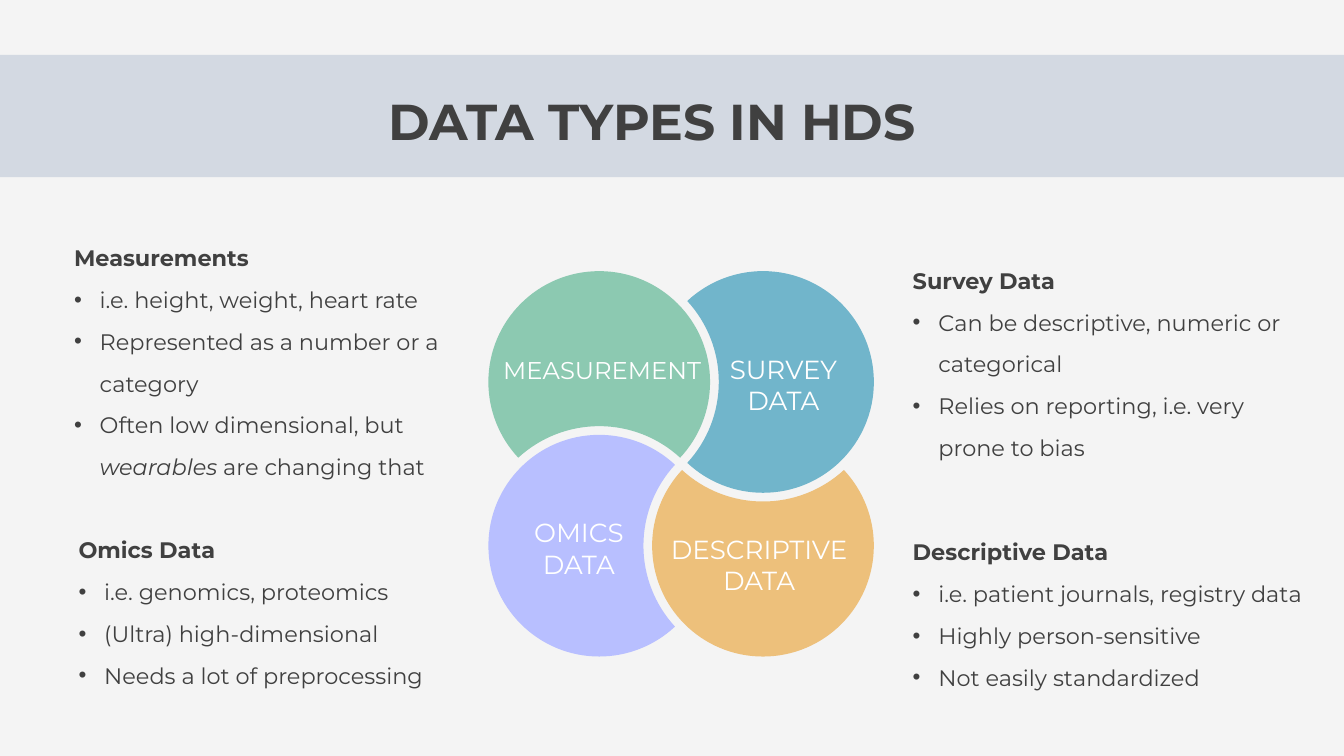
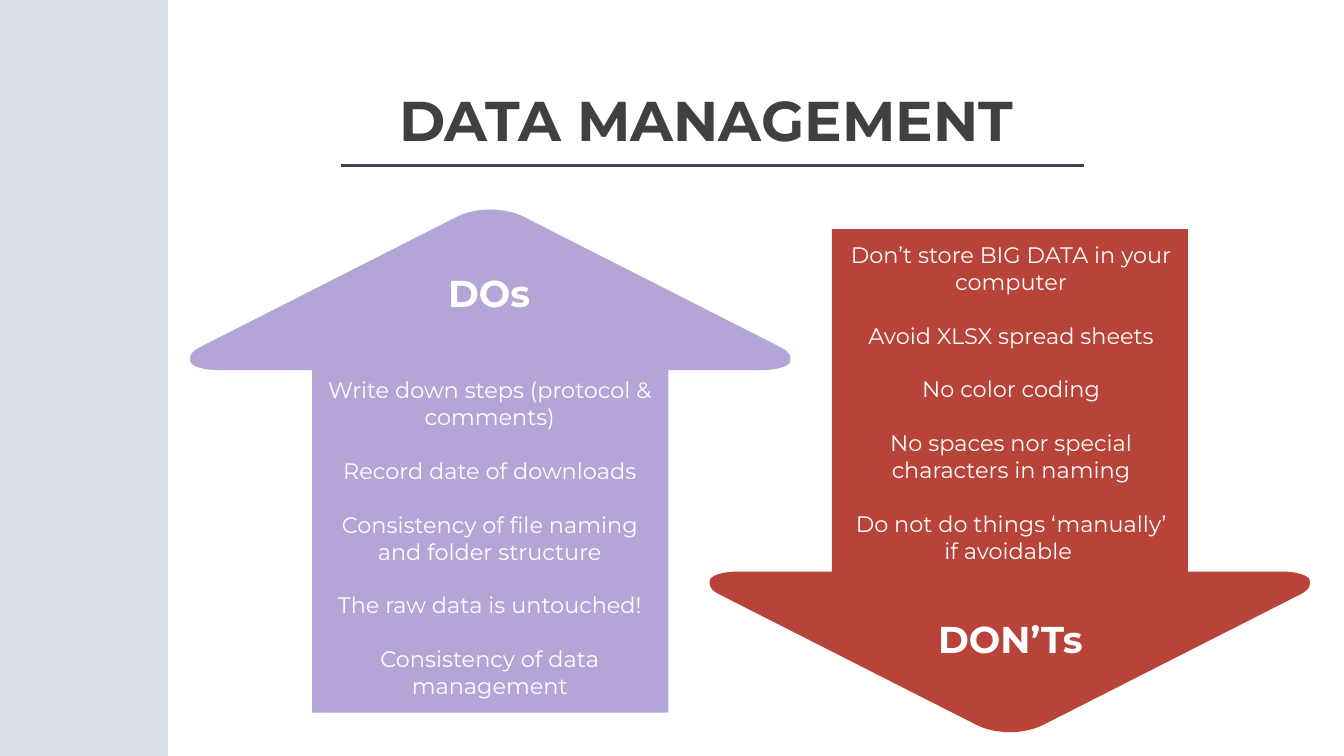
from dataclasses import dataclass
from math import acos, cos, radians, sin, tan

from lxml import etree
from pptx import Presentation
from pptx.dml.color import RGBColor
from pptx.enum import shapes, text
from pptx.oxml import ns
from pptx.util import Cm, Pt


@dataclass(frozen=True)
class Theme:
    """Colours, font and type sizes of the deck."""
    font: str = "Montserrat"
    ink: str = "404040"
    white: str = "FFFFFF"
    paper: str = "F4F4F4"
    band: str = "D3D9E2"
    rule: str = "374556"
    green: str = "8CC9B1"
    blue: str = "71B5CB"
    lilac: str = "B8BFFF"
    amber: str = "EDC07B"
    purple: str = "B4A5D6"
    red: str = "B84338"
    body: float = 24
    word: float = 26
    label: float = 28
    head: float = 40
    title: float = 54
    large: float = 60
    line: float = 44.8
    tall: float = 78.1
    gap: float = 28.8


T = Theme()
WIDE, HIGH = 50.8, 28.58
LEFT, MID = text.PP_ALIGN.LEFT, text.PP_ALIGN.CENTER


def tag(parent, name, **attrs):
    """Append a drawing element to a parent."""
    node = etree.SubElement(parent, ns.qn(name))
    for key, value in attrs.items():
        node.set(key, str(value))
    return node


def bullet(para):
    """Give a paragraph a hanging dot."""
    props = para._p.get_or_add_pPr()
    props.set("marL", str(Cm(0.97)))
    props.set("indent", str(-Cm(0.97)))
    tag(props, "a:buFont", typeface="Arial")
    tag(props, "a:buChar", char="•")


def write(slide, box, lines, size=T.body, color=T.ink, bold=False, align=LEFT,
          line=None, gap=0, inset=(0, 0), dots=False):
    """Write lines in a box; stars enclose italics, dots follow a bold head."""
    frame = slide.shapes.add_textbox(*map(Cm, box)).text_frame
    frame.word_wrap = True
    frame.margin_left = frame.margin_right = Cm(inset[0])
    frame.margin_top = frame.margin_bottom = Cm(inset[1])
    for row, words in enumerate(lines):
        para = frame.add_paragraph() if row else frame.paragraphs[0]
        para.alignment = align
        if line:
            para.line_spacing = Pt(line)
        if row and gap:
            para.space_before = Pt(gap)
        if row and dots:
            bullet(para)
        for part, piece in enumerate(words.split("*")):
            run = para.add_run()
            run.text = piece
            font = run.font
            font.name, font.size = T.font, Pt(size)
            font.bold = bold or (dots and row == 0)
            font.italic = part % 2 == 1
            font.color.rgb = RGBColor.from_string(color)


def paint(shape, color, alpha=None):
    """Fill a shape flat, without line or shadow."""
    shape.shadow.inherit = False
    shape.line.fill.background()
    shape.fill.solid()
    shape.fill.fore_color.rgb = RGBColor.from_string(color)
    if alpha:
        tint = shape._element.spPr.find(".//" + ns.qn("a:srgbClr"))
        tag(tint, "a:alpha", val=alpha * 1000)


def band(slide, box, alpha=None):
    """Draw a pale block."""
    block = slide.shapes.add_shape(
        shapes.MSO_SHAPE.RECTANGLE, *map(Cm, box))
    paint(block, T.band, alpha)


def trace(slide, start, legs, color):
    """Draw a closed outline; a leg of three points is a cubic curve."""
    pen = slide.shapes.build_freeform(*map(Cm, start), scale=1.0)
    pen.add_line_segments([tuple(map(Cm, leg[-1])) for leg in legs])
    shape = pen.convert_to_shape()
    route = shape._element.spPr.find(".//" + ns.qn("a:path"))
    for old, leg in zip(route.findall(ns.qn("a:lnTo")), legs):
        if len(leg) == 3:
            bend = etree.Element(ns.qn("a:cubicBezTo"))
            for x, y in leg:
                tag(bend, "a:pt", x=Cm(x) - shape.left, y=Cm(y) - shape.top)
            route.replace(old, bend)
    tag(route, "a:close")
    paint(shape, color)


def arc(x, y, reach, turns):
    """List the curves of a circle through the given angles."""
    legs = []
    for a, b in zip(turns, turns[1:]):
        pull = 4 / 3 * tan((b - a) / 4)
        legs.append([
            (x + reach * (cos(a) - pull * sin(a)),
             y + reach * (sin(a) + pull * cos(a))),
            (x + reach * (cos(b) + pull * sin(b)),
             y + reach * (sin(b) - pull * cos(b))),
            (x + reach * cos(b), y + reach * sin(b))])
    return legs


def wheel(slide, box, parts):
    """Draw four discs, each cut back by its neighbour, with labels."""
    left, top, side, _ = box
    reach, cut = 4.19, 4.52
    step = side - 2 * reach
    near = (step ** 2 + reach ** 2 - cut ** 2) / (2 * step)
    own, bite = acos(near / reach), acos((step - near) / cut)
    for col, row, turn, color, *_ in parts:
        x, y = left + reach + col * step, top + reach + row * step
        way = radians(turn)
        back = way + radians(180)
        rim = [way + own, *(way + radians(n) for n in (90, 180, 270)),
               way + radians(360) - own]
        legs = arc(x, y, reach, rim) + arc(
            x + step * cos(way), y + step * sin(way), cut,
            [back + bite, back, back - bite])
        trace(slide, legs[-1][-1], legs, color)
    for *_, (x, y, w, h), size, lines in parts:
        write(slide, (left + x, top + y, w, h), lines, size=size,
              color=T.white, align=MID)


def mirror(start, legs):
    """Run legs backwards on the other side of the axis."""
    ends = [start] + [leg[-1] for leg in legs]
    turned = [leg[-2::-1] + [end] for leg, end in zip(legs, ends)]
    return [[(-x, y) for x, y in leg] for leg in reversed(turned)]


def arrow(slide, box, color, head, spot, lines, area, down=False):
    """Draw a soft block arrow with a heading and a list."""
    left, top, w, h = box
    half = [[(0.46, 0), (0.92, 0.1), (1.27, 0.28)],
            [(11.02, 5.23)],
            [(11.34, 5.4), (11.39, 5.6), (11.33, 5.77)],
            [(11.27, 5.94), (10.79, 6.07), (10.34, 6.07)],
            [(6.73, 6.07)],
            [(6.73, h)]]
    legs = half + [[(-6.73, h)]] + mirror((0, 0), half)

    def point(x, y):
        """Set a point of the outline in the arrow's box."""
        return left + w / 2 + x, top + (h - y if down else y)

    def place(part):
        """Shift a part into the arrow's box."""
        return left + part[0], top + part[1], part[2], part[3]

    trace(slide, point(0, 0), [[point(*dot) for dot in leg] for leg in legs],
          color)
    write(slide, place(spot), [head], size=T.head, color=T.white, bold=True,
          line=T.line)
    write(slide, place(area), lines, color=T.white, align=MID, gap=T.gap,
          inset=(0.25, 0.13))


def sheet(deck, color):
    """Add a blank slide with a plain ground."""
    slide = deck.slides.add_slide(deck.slide_layouts[6])
    slide.background.fill.solid()
    slide.background.fill.fore_color.rgb = RGBColor.from_string(color)
    return slide


def title(slide, box, words, size, align=LEFT):
    """Write the slide title."""
    write(slide, box, [words], size=size, bold=True, align=align, line=T.tall)


def kinds(deck):
    """Build the slide on data types."""
    slide = sheet(deck, T.paper)
    band(slide, (0, 2.08, WIDE, 4.62))
    notes = [
        ((2.97, 19.71, 18.14, 6.22),
         ["Omics Data", "i.e. genomics, proteomics",
          "(Ultra) high-dimensional", "Needs a lot of preprocessing"]),
        ((2.8, 8.67, 15.65, 9.42),
         ["Measurements", "i.e. height, weight, heart rate",
          "Represented as a number or a category",
          "Often low dimensional, but *wearables* are changing that"]),
        ((34.5, 19.79, 16.2, 6.22),
         ["Descriptive Data", "i.e. patient journals, registry data",
          "Highly person-sensitive", "Not easily standardized"]),
        ((34.5, 9.53, 14.73, 7.82),
         ["Survey Data", "Can be descriptive, numeric or categorical",
          "Relies on reporting, i.e. very prone to bias"]),
    ]
    for box, lines in notes:
        write(slide, box, lines, line=T.line, dots=True)
    title(slide, (13.97, 2.95, 21.36, 2.57), "DATA TYPES IN HDS", T.title, MID)
    wheel(slide, (18.46, 10.25, 14.57, 14.57), [
        (1, 0, 180, T.blue, (9.03, 3.11, 4.24, 2.39), T.label,
         ["SURVEY", "DATA"]),
        (1, 1, 270, T.amber, (6.73, 9.91, 7, 2.39), T.label,
         ["DESCRIPTIVE", "DATA"]),
        (0, 1, 0, T.lilac, (1.62, 9.28, 3.6, 2.39), T.label,
         ["OMICS", "DATA"]),
        (0, 0, 90, T.green, (0.47, 3.19, 7.67, 1.12), T.word,
         ["MEASUREMENT"]),
    ])


def habits(deck):
    """Build the slide on data management."""
    slide = sheet(deck, T.white)
    band(slide, (0, 0, 6.35, HIGH), alpha=84)
    title(slide, (15.09, 3, 23.88, 2.62), "DATA MANAGEMENT", T.large)
    arrow(slide, (7.2, 7.92, 22.66, 19.02), T.purple,
          "DOs", (9.74, 2.39, 3.38, 1.6),
          ["Write down steps (protocol & comments)",
           "Record date of downloads",
           "Consistency of file naming and folder structure",
           "The raw data is untouched!",
           "Consistency of data management"],
          (4.87, 6.18, 12.88, 13.59))
    arrow(slide, (26.84, 8.66, 22.66, 19.02), T.red,
          "DON’Ts", (8.62, 14.73, 5.61, 1.6),
          ["Don’t store BIG DATA in your computer",
           "Avoid XLSX spread sheets",
           "No color coding",
           "No spaces nor special characters in naming",
           "Do not do things ‘manually’ if avoidable "],
          (5.01, 0.33, 12.73, 12.57), down=True)
    rule = slide.shapes.add_connector(
        shapes.MSO_CONNECTOR.STRAIGHT, Cm(12.9), Cm(6.25), Cm(40.97), Cm(6.25))
    rule.line.color.rgb = RGBColor.from_string(T.rule)
    rule.line.width = Pt(3)
    tag(rule._element.spPr, "a:effectLst")


def main():
    """Build and save the deck."""
    deck = Presentation()
    deck.slide_width, deck.slide_height = Cm(WIDE), Cm(HIGH)
    kinds(deck)
    habits(deck)
    deck.save("out.pptx")


if __name__ == "__main__":
    main()
